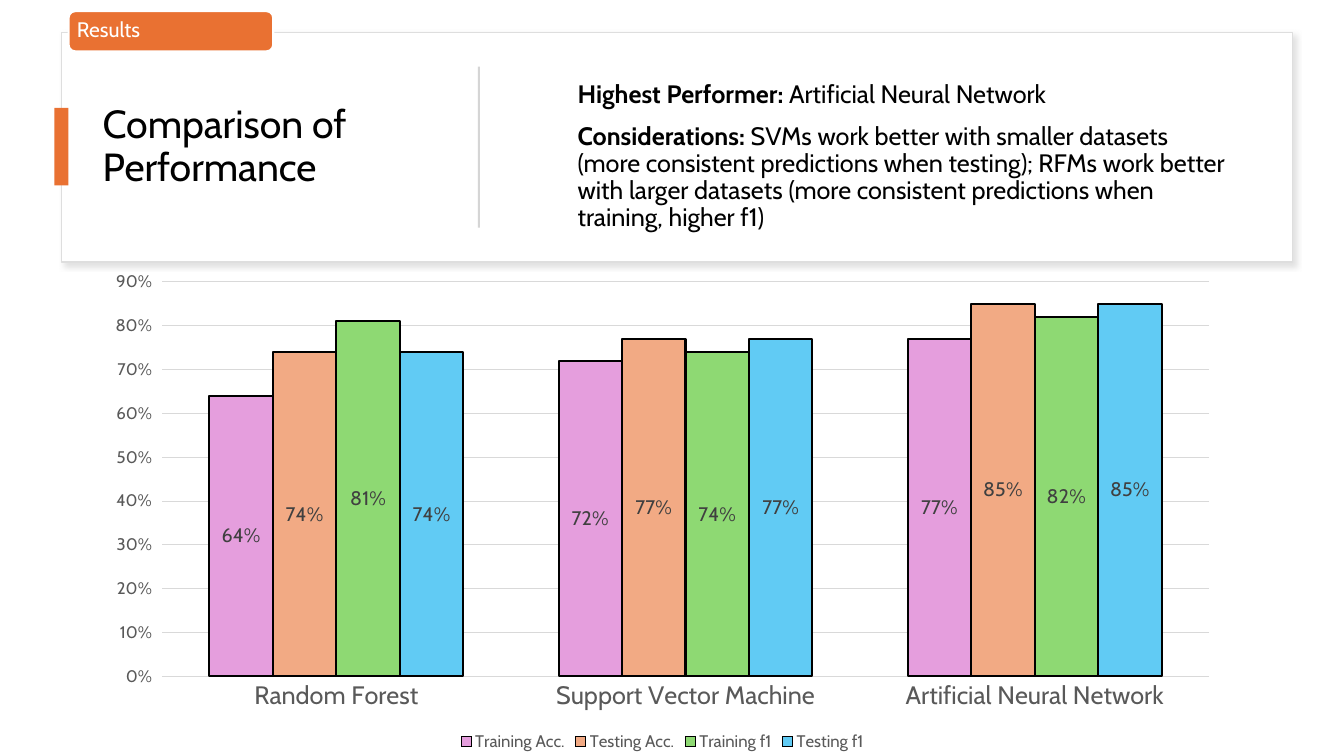
import pptx
import pptx.chart.data
import pptx.dml.color
import pptx.enum.chart
import pptx.enum.shapes
import pptx.enum.text
import pptx.oxml
import pptx.oxml.ns
import pptx.util

Pt = pptx.util.Pt
SHAPE = pptx.enum.shapes.MSO_SHAPE
CHART = pptx.enum.chart
ORANGE, GREY, WHITE, BLACK = "E97132", "595959", "FFFFFF", "000000"

CATS = ["Random Forest", "Support Vector Machine", "Artificial Neural Network"]
SERIES = [
    ("Training Acc.", "E59EDD", (0.64, 0.72, 0.77)),
    ("Testing Acc.", "F2AA84", (0.74, 0.77, 0.85)),
    ("Training f1", "8ED973", (0.81, 0.74, 0.82)),
    ("Testing f1", "61CBF4", (0.74, 0.77, 0.85)),
]
NOTES = [
    [("Highest Performer:", True), (" Artificial Neural Network", False)],
    [("Considerations: ", True),
     ("SVMs work better with smaller datasets (more consistent predictions "
      "when testing); RFMs work better with larger datasets (more consistent "
      "predictions when training, higher f1)", False)],
]


def color(text):
    return pptx.dml.color.RGBColor.from_string(text)


class Deck:
    """Style and current slide; boxes are percentages of the slide's size."""

    face = "Cabin"

    def __init__(self):
        self.prs = pptx.Presentation()
        self.prs.slide_width = pptx.util.Inches(13.33)
        self.prs.slide_height = pptx.util.Inches(7.5)
        self.slide = self.prs.slides.add_slide(self.prs.slide_layouts[6])

    def place(self, box):
        wide, high = self.prs.slide_width, self.prs.slide_height
        return [round(share / 100 * side)
                for share, side in zip(box, (wide, high, wide, high))]

    def font(self, font, size, hue):
        font.name, font.size = self.face, Pt(size)
        font.color.rgb = color(hue)

    def line(self, line, hue, width):
        line.color.rgb = color(hue)
        line.width = Pt(width)

    def block(self, box, fill, edge=None, width=1, kind=SHAPE.RECTANGLE):
        shape = self.slide.shapes.add_shape(kind, *self.place(box))
        shape.shadow.inherit = False
        shape.fill.solid()
        shape.fill.fore_color.rgb = color(fill)
        if edge:
            self.line(shape.line, edge, width)
        else:
            shape.line.fill.background()
        return shape

    def shade(self, shape, hue, alpha, blur, dist, angle):
        """Give a shape a soft outer shadow."""
        space = pptx.oxml.ns.nsdecls("a")
        shadow = pptx.oxml.parse_xml(
            f'<a:outerShdw {space} blurRad="{Pt(blur)}" dist="{Pt(dist)}" '
            f'dir="{angle * 60000}" algn="tl" rotWithShape="0">'
            f'<a:srgbClr val="{hue}"><a:alpha val="{alpha * 1000}"/>'
            '</a:srgbClr></a:outerShdw>')
        shape._element.spPr.find(pptx.oxml.ns.qn("a:effectLst")).append(shadow)

    def text(self, box, paras, size, hue=BLACK, inset=None):
        """Write paragraphs, each a list of (words, bold) runs."""
        frame = self.slide.shapes.add_textbox(*self.place(box)).text_frame
        frame.word_wrap = True
        frame.vertical_anchor = pptx.enum.text.MSO_ANCHOR.MIDDLE
        if inset is not None:
            frame.margin_left = frame.margin_right = Pt(inset)
            frame.margin_top = frame.margin_bottom = Pt(inset)
        for i, runs in enumerate(paras):
            para = frame.paragraphs[0] if i == 0 else frame.add_paragraph()
            para.line_spacing = 0.9
            if i:
                para.space_before = Pt(10)
            self.font(para.font, size, hue)
            for words, bold in runs:
                run = para.add_run()
                run.text = words
                run.font.bold = bold
                self.font(run.font, size, hue)

    def bars(self, box, cats, series):
        data = pptx.chart.data.CategoryChartData(number_format="0%")
        data.categories = cats
        for name, _, values in series:
            data.add_series(name, values)
        chart = self.slide.shapes.add_chart(
            CHART.XL_CHART_TYPE.COLUMN_CLUSTERED, *self.place(box), data).chart
        self.font(chart.font, 10, BLACK)
        chart.has_title = False
        chart.has_legend = True
        chart.legend.position = CHART.XL_LEGEND_POSITION.BOTTOM
        chart.legend.include_in_layout = False
        self.font(chart.legend.font, 12, GREY)

        names, scale = chart.category_axis, chart.value_axis
        names.major_tick_mark = CHART.XL_TICK_MARK.NONE
        self.font(names.tick_labels.font, 18, GREY)
        self.line(names.format.line, "D9D9D9", 0.75)
        scale.minimum_scale, scale.maximum_scale = 0, 0.9
        scale.major_unit = 0.1
        scale.format.line.fill.background()
        scale.tick_labels.number_format = "0%"
        scale.tick_labels.number_format_is_linked = False
        self.font(scale.tick_labels.font, 12, GREY)
        self.line(scale.major_gridlines.format.line, "D9D9D9", 0.75)

        plot = chart.plots[0]
        plot.gap_width, plot.overlap = 150, 0
        plot.vary_by_categories = False
        for bar, (_, hue, _) in zip(plot.series, series):
            bar.format.fill.solid()
            bar.format.fill.fore_color.rgb = color(hue)
            self.line(bar.format.line, BLACK, 1.5)
            labels = bar.data_labels
            labels.show_value = True
            labels.number_format = "0%"
            labels.number_format_is_linked = False
            labels.position = CHART.XL_LABEL_POSITION.CENTER
            self.font(labels.font, 14, "404040")


def main():
    deck = Deck()
    card = deck.block((4.58, 4.27, 91.6, 30.4), WHITE, "DEDEDE")
    deck.shade(card, "C5C5C5", alpha=50, blur=4, dist=3, angle=45)
    deck.text((6.9, 7.47, 27.08, 24),
              [[("Comparison of Performance", False)]], 28)
    deck.block((4.05, 14.27, 1.05, 10.27), ORANGE)
    deck.block((35.56, 8.8, 0.15, 21.33), "D5D5D5")
    deck.block((5.1, 1.47, 15.23, 5.33), ORANGE, WHITE, 1.5,
               SHAPE.ROUNDED_RECTANGLE)
    deck.text((5.25, 1.73, 14.93, 4.8), [[("Results", False)]], 15, WHITE, 4.5)
    deck.text((42.24, 8.8, 50.11, 24), NOTES, 18)
    deck.bars((6.9, 34.67, 84.77, 65.33), CATS, SERIES)
    deck.prs.save("out.pptx")


if __name__ == "__main__":
    main()
